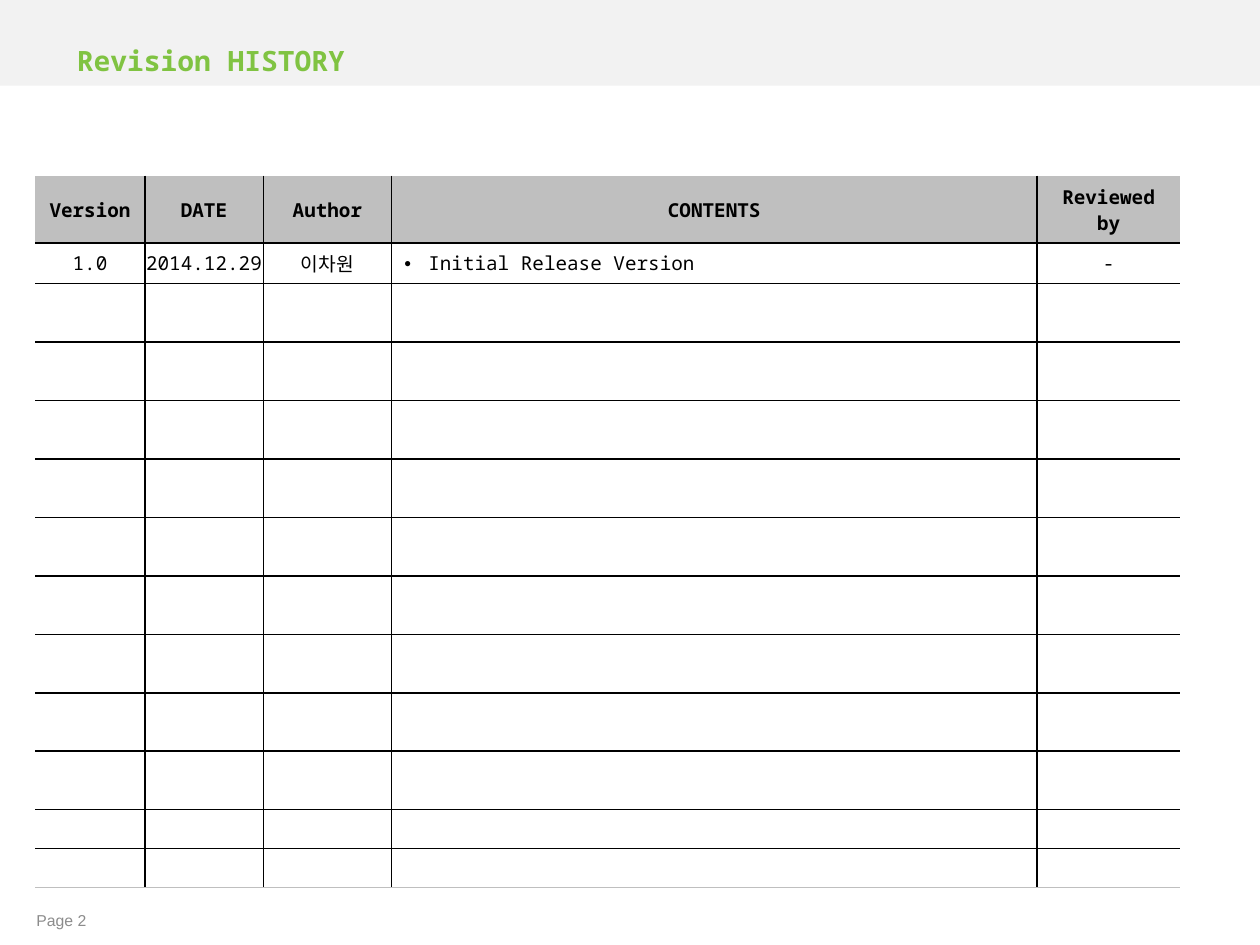
from lxml import etree
from pptx import Presentation
from pptx.dml.color import RGBColor
from pptx.enum.shapes import MSO_SHAPE
from pptx.enum.text import MSO_ANCHOR, PP_ALIGN
from pptx.oxml.ns import qn
from pptx.util import Inches, Pt

RECT = MSO_SHAPE.RECTANGLE
MIDDLE = MSO_ANCHOR.MIDDLE
LEFT, CENTER = PP_ALIGN.LEFT, PP_ALIGN.CENTER

BLACK = RGBColor(0x00, 0x00, 0x00)
GREEN = RGBColor(0x80, 0xC3, 0x42)
PALE = RGBColor(0xF2, 0xF2, 0xF2)
SILVER = RGBColor(0xBF, 0xBF, 0xBF)
GRAY = RGBColor(0x8C, 0x8C, 0x8C)

MONO, SANS = "Noto Sans Mono", "Arial"
SIZE = 11

HEADS = ["Version", "DATE", "Author", "CONTENTS", "Reviewed by"]
ENTRY = ["1.0", "2014.12.29", "이차원", "Initial Release Version", "-"]
WIDTHS = [0.87, 0.94, 1.02, 5.12, 1.14]
HEIGHTS = [0.53, 0.32] + [0.464] * 9 + [0.31] * 2
PADS = [0.04, 0, 0.04, 0.1, 0.04]
NOTES = 3  # index of the contents column


def add_run(para, text, size, font, color, bold=False):
    run = para.add_run()
    run.text = text
    run.font.size = Pt(size)
    run.font.name = font
    run.font.bold = bold
    run.font.color.rgb = color


def add_band(slide):
    band = slide.shapes.add_shape(RECT, 0, 0, Inches(10), Inches(0.68))
    band.shadow.inherit = False
    band.fill.solid()
    band.fill.fore_color.rgb = PALE
    band.line.fill.background()
    # Keep the band behind the title
    slide.shapes._spTree.insert(2, band._element)


def set_title(slide, text):
    title = slide.shapes.title
    title.left, title.top = Inches(0.51), Inches(0.28)
    title.width, title.height = Inches(3.31), Inches(0.39)
    frame = title.text_frame
    frame.vertical_anchor = MIDDLE
    para = frame.paragraphs[0]
    para.alignment = LEFT
    add_run(para, text, 16, MONO, GREEN, True)


def add_page(slide, text):
    box = slide.shapes.add_textbox(
        Inches(0.19), Inches(7.17), Inches(0.79), Inches(0.27))
    frame = box.text_frame
    frame.word_wrap = True
    frame.vertical_anchor = MIDDLE
    add_run(frame.paragraphs[0], text, 9, SANS, GRAY)


def set_edge(cell, side, color):
    """Draw one cell edge, or hide it when color is None."""
    line = etree.SubElement(
        cell._tc.get_or_add_tcPr(), qn(f"a:ln{side}"), w=str(Pt(1)))
    if color is None:
        etree.SubElement(line, qn("a:noFill"))
    else:
        fill = etree.SubElement(line, qn("a:solidFill"))
        etree.SubElement(fill, qn("a:srgbClr"), val=str(color))


def set_edges(cell, row, col):
    set_edge(cell, "L", BLACK if col else None)
    set_edge(cell, "R", BLACK if col < len(WIDTHS) - 1 else None)
    set_edge(cell, "T", BLACK if row else SILVER)
    set_edge(cell, "B", BLACK if row < len(HEIGHTS) - 1 else SILVER)


def add_bullet(para):
    props = para._p.get_or_add_pPr()
    props.set("marL", str(Inches(0.19)))
    props.set("indent", str(-Inches(0.19)))
    etree.SubElement(props, qn("a:buFont"), typeface=SANS)
    etree.SubElement(props, qn("a:buChar"), char="•")


def fill_cell(cell, text, pad, bold=False, bullet=False):
    cell.margin_left = cell.margin_right = Inches(pad)
    para = cell.text_frame.paragraphs[0]
    para.alignment = LEFT if bullet else CENTER
    para.space_before = Pt(2.2)
    if bullet:
        add_bullet(para)
    add_run(para, text, SIZE, MONO, BLACK, bold)


def add_history(slide):
    table = slide.shapes.add_table(
        len(HEIGHTS), len(WIDTHS), Inches(0.28), Inches(1.4),
        Inches(sum(WIDTHS)), Inches(sum(HEIGHTS))).table
    table.first_row = table.horz_banding = False
    for column, width in zip(table.columns, WIDTHS):
        column.width = Inches(width)
    for r, height in enumerate(HEIGHTS):
        table.rows[r].height = Inches(height)
        for c in range(len(WIDTHS)):
            cell = table.cell(r, c)
            cell.vertical_anchor = MIDDLE
            set_edges(cell, r, c)
            if r == 0:
                cell.fill.solid()
                cell.fill.fore_color.rgb = SILVER
                fill_cell(cell, HEADS[c], 0.1, bold=True)
                continue
            cell.fill.background()
            if r == 1:
                fill_cell(cell, ENTRY[c], PADS[c], bullet=c == NOTES)
            else:
                # Small type keeps blank rows at their set height
                para = cell.text_frame.paragraphs[0]
                etree.SubElement(
                    para._p, qn("a:endParaRPr"), sz=str(SIZE * 100))


def main():
    deck = Presentation()
    deck.slide_width, deck.slide_height = Inches(10), Inches(7.5)
    slide = deck.slides.add_slide(deck.slide_layouts[5])
    add_band(slide)
    set_title(slide, "Revision HISTORY")
    add_history(slide)
    add_page(slide, "Page 2")
    deck.save("out.pptx")


if __name__ == "__main__":
    main()
